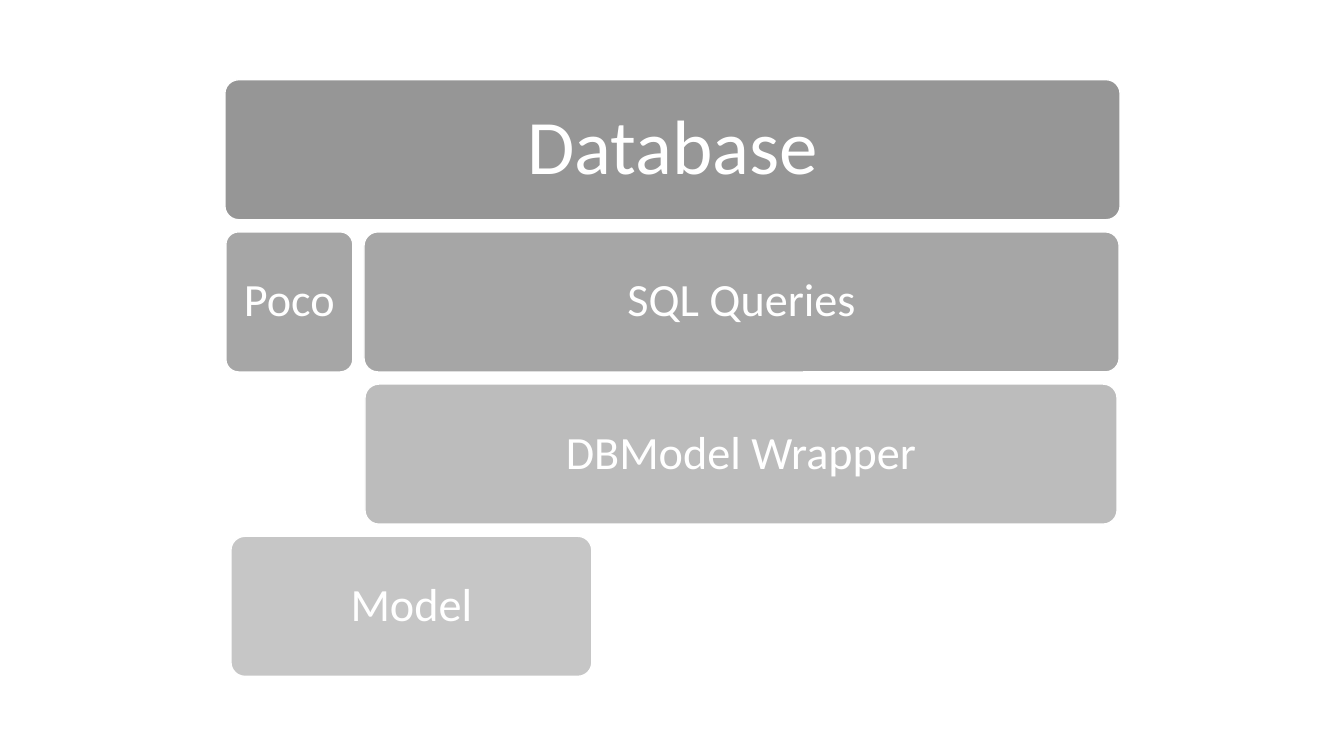
from pptx import Presentation
from pptx.dml.color import RGBColor
from pptx.enum.shapes import MSO_SHAPE
from pptx.enum.text import MSO_ANCHOR, PP_ALIGN
from pptx.util import Pt

PX = 9144
TOP = 79
ROW_PITCH = 151
BOX_HEIGHT = 139
WHITE = "FFFFFF"


def color(value):
    return RGBColor.from_string(value)


def write_text(box, text, size=33, inset=13, font="Calibri", fill=WHITE):
    frame = box.text_frame
    frame.word_wrap = True
    frame.vertical_anchor = MSO_ANCHOR.MIDDLE
    frame.margin_left = frame.margin_right = inset * PX
    frame.margin_top = frame.margin_bottom = inset * PX
    para = frame.paragraphs[0]
    para.alignment = PP_ALIGN.CENTER
    para.line_spacing = 0.9
    span = para.add_run()
    span.text = text
    span.font.name = font
    span.font.size = Pt(size)
    span.font.color.rgb = color(fill)


deck = Presentation()
deck.slide_width = 1333 * PX
deck.slide_height = 750 * PX
page = deck.slides.add_slide(deck.slide_layouts[6])

layers = [
    ("969696", [("Database", 223, 888, 55)]),
    ("A6A6A6", [("Poco", 224, 126, 33), ("SQL Queries", 361, 749, 33)]),
    ("BCBCBC", [("DBModel Wrapper", 362, 746, 33)]),
    ("C6C6C6", [("Model", 229, 358, 33)]),
]

for row, (shade, blocks) in enumerate(layers):
    for label, left, width, size in blocks:
        box = page.shapes.add_shape(
            MSO_SHAPE.ROUNDED_RECTANGLE,
            left * PX, (TOP + row * ROW_PITCH) * PX, width * PX, BOX_HEIGHT * PX,
        )
        box.adjustments[0] = 0.1
        box.shadow.inherit = False
        box.fill.solid()
        box.fill.fore_color.rgb = color(shade)
        box.line.color.rgb = color(WHITE)
        box.line.width = Pt(1)
        write_text(box, label, size=size)

deck.save("out.pptx")
